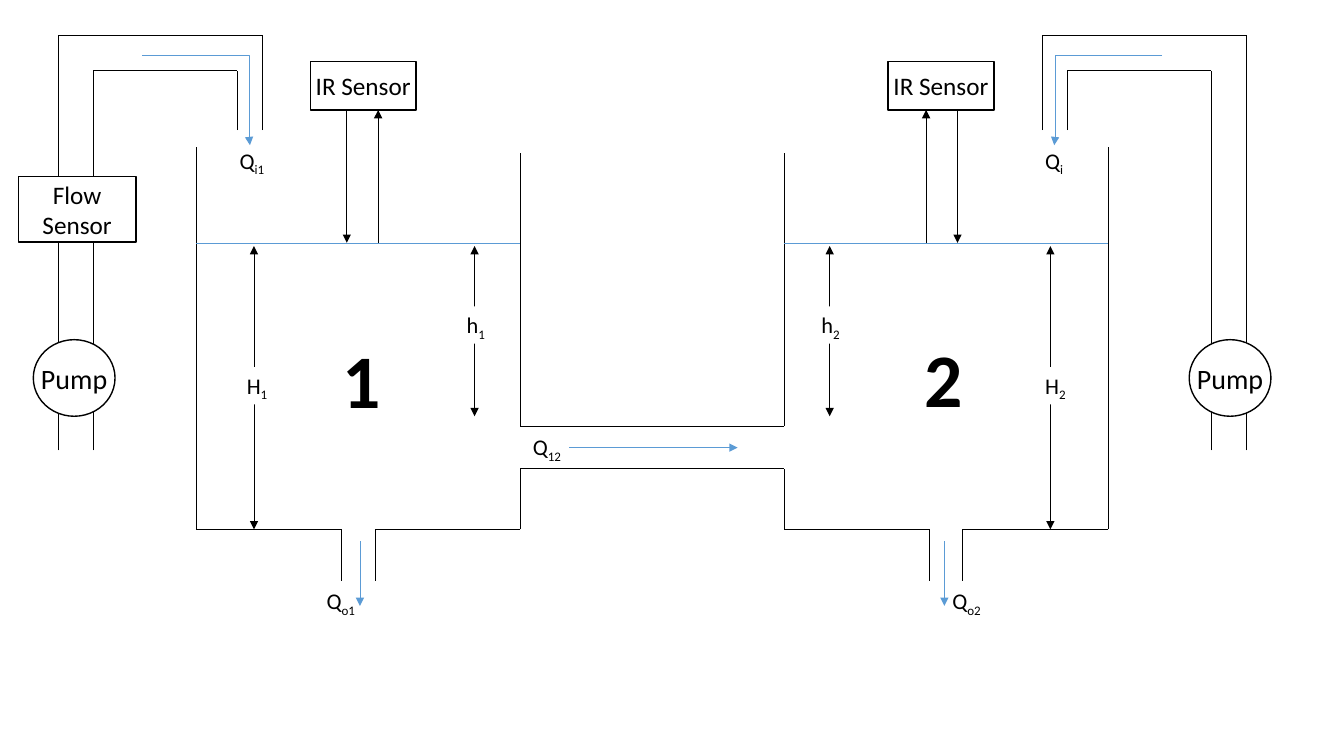
from dataclasses import dataclass
from typing import NamedTuple

from lxml import etree
from pptx import Presentation
from pptx import util as u
from pptx.dml.color import RGBColor
from pptx.enum import shapes, text
from pptx.oxml import ns


@dataclass(frozen=True)
class Theme:
    """Colours, font and sizes of the slide."""
    ink: RGBColor = RGBColor(0, 0, 0)
    flow: RGBColor = RGBColor(0x5B, 0x9B, 0xD5)
    white: RGBColor = RGBColor(255, 255, 255)
    font: str = "Calibri"
    small: int = 16
    body: int = 18
    large: int = 20
    huge: int = 54
    thin: float = 0.5
    edge: float = 1


class Line(NamedTuple):
    """A line in cm; heads lists the ends that carry an arrow."""
    x1: float
    y1: float
    x2: float
    y2: float
    color: RGBColor = Theme.ink
    heads: tuple = ()
    bend: float = 0


class Box(NamedTuple):
    """An outlined shape in cm with centred words."""
    x: float
    y: float
    w: float
    h: float
    words: str
    kind: shapes.MSO_SHAPE = shapes.MSO_SHAPE.RECTANGLE
    size: int = Theme.body
    wrap: bool = True
    fill: bool = True


class Label(NamedTuple):
    """A free label in cm with an optional subscript."""
    x: float
    y: float
    w: float
    words: str
    sub: str = ""
    h: float = 0.94
    size: int = Theme.small
    bold: bool = False
    mask: bool = False


THEME = Theme()
SPAN = 32.87  # left and right x of a mirrored pair add up to this
TAIL, BOTH = ("tailEnd",), ("headEnd", "tailEnd")

# Tank walls and shared heights
OUTER, INNER, BASE, LEVEL = 4.95, 13.11, 13.34, 6.12
DRAIN = (8.61, 9.45)
PIPE_TOP, PIPE_LOW = 10.74, 11.81
NEAR, FAR = (2.35, 5.97, 1.78), (1.47, 6.6, 0.89)  # up, down, top

HALF = [
    Line(OUTER, BASE, DRAIN[0], BASE),
    Line(DRAIN[1], BASE, INNER, BASE),
    Line(OUTER, BASE, OUTER, 3.71),
    Line(INNER, BASE, INNER, PIPE_LOW),
    Line(INNER, PIPE_TOP, INNER, 3.86),
    *(Line(x, BASE, x, 14.63) for x in DRAIN),
    *(line for up, down, top in (NEAR, FAR) for line in (
        Line(up, 11.35, up, top),
        Line(up, top, down, top),
        Line(down, 3.28, down, top))),
    Line(OUTER, LEVEL, INNER, LEVEL, THEME.flow),
    Line(8.74, 2.77, 8.74, LEVEL, heads=TAIL),
    Line(9.53, LEVEL, 9.53, 2.77, heads=TAIL),
    Line(3.58, 1.4, 6.3, 3.66, THEME.flow, TAIL, 0.993),
    Line(9.07, 13.64, 9.07, 15.27, THEME.flow, TAIL),
    Line(6.4, 6.2, 6.4, BASE, heads=BOTH),
    Line(11.96, 6.2, 11.96, 10.49, heads=BOTH),
]
PAIRS = [
    Box(0.84, 8.56, 2.06, 1.93, "Pump", shapes.MSO_SHAPE.OVAL, THEME.large, False),
    Box(7.82, 1.55, 2.67, 1.22, "IR Sensor", fill=False),
]
METER = Box(0.46, 4.45, 2.97, 1.65, "Flow Sensor")
BRIDGE = [
    *(Line(INNER, y, SPAN - INNER, y) for y in (PIPE_TOP, PIPE_LOW)),
    Line(14.35, 11.28, 18.59, 11.28, THEME.flow, TAIL),
]
LABELS = [
    Label(5.79, 3.58, 1.17, "Q", "i1"),
    Label(26.09, 3.58, 0.99, "Q", "i"),
    Label(7.98, 14.68, 1.3, "Q", "o1"),
    Label(23.75, 14.68, 1.3, "Q", "o2"),
    Label(13.18, 10.8, 1.27, "Q", "12"),
    Label(5.97, 9.25, 1.07, "H", "1", mask=True),
    Label(26.09, 9.25, 1.07, "H", "2", mask=True),
    Label(11.51, 7.72, 0.99, "h", "1", mask=True),
    Label(20.45, 7.72, 0.99, "h", "2", mask=True),
    Label(8.38, 8.26, 1.5, "1", h=2.57, size=THEME.huge, bold=True),
    Label(23.04, 8.23, 1.5, "2", h=2.57, size=THEME.huge, bold=True),
]


def write(shape, words: str, *, sub: str = "", size: int = THEME.body,
          bold: bool = False, align=text.PP_ALIGN.LEFT, wrap: bool = False) -> None:
    """Write words and a subscript into a shape."""
    frame = shape.text_frame
    frame.word_wrap = wrap
    para = frame.paragraphs[0]
    para.alignment = align
    for part, drop in ((words, "0"), (sub, "-25000")):
        if not part:
            continue
        run = para.add_run()
        run.text = part
        run.font.name, run.font.size = THEME.font, u.Pt(size)
        run.font.bold, run.font.color.rgb = bold, THEME.ink
        run._r.get_or_add_rPr().set("baseline", drop)


def draw_line(slide, line: Line) -> None:
    """Draw a straight or bent line with its arrowheads."""
    kind = shapes.MSO_CONNECTOR.ELBOW if line.bend else shapes.MSO_CONNECTOR.STRAIGHT
    link = slide.shapes.add_connector(kind, *map(u.Cm, line[:4]))
    link.line.color.rgb = line.color
    link.line.width = u.Pt(THEME.thin)
    props = link._element.spPr
    for end in line.heads:
        etree.SubElement(link.line._get_or_add_ln(), ns.qn(f"a:{end}"), type="triangle")
    etree.SubElement(props, ns.qn("a:effectLst"))
    if line.bend:
        guides = props.find(".//" + ns.qn("a:avLst"))
        etree.SubElement(guides, ns.qn("a:gd"), name="adj1",
                         fmla=f"val {round(line.bend * 100000)}")


def draw_box(slide, box: Box) -> None:
    """Draw an outlined shape with centred words."""
    shape = slide.shapes.add_shape(box.kind, *map(u.Cm, box[:4]))
    shape.shadow.inherit = False
    if box.fill:
        shape.fill.solid()
        shape.fill.fore_color.rgb = THEME.white
    else:
        shape.fill.background()
    shape.line.color.rgb = THEME.ink
    shape.line.width = u.Pt(THEME.edge)
    frame = shape.text_frame
    frame.margin_left = frame.margin_right = u.Cm(0.1)
    frame.margin_top = frame.margin_bottom = 0
    frame.vertical_anchor = text.MSO_ANCHOR.MIDDLE
    write(shape, box.words, size=box.size, align=text.PP_ALIGN.CENTER, wrap=box.wrap)


def draw_label(slide, label: Label) -> None:
    """Draw a label, masking the line beneath it if asked."""
    shape = slide.shapes.add_textbox(*map(u.Cm, (label.x, label.y, label.w, label.h)))
    if label.mask:
        shape.fill.solid()
        shape.fill.fore_color.rgb = THEME.white
    shape.text_frame.auto_size = text.MSO_AUTO_SIZE.SHAPE_TO_FIT_TEXT
    write(shape, label.words, sub=label.sub, size=label.size, bold=label.bold)


def flip_line(line: Line) -> Line:
    """Mirror a line to the right tank."""
    return line._replace(x1=SPAN - line.x1, x2=SPAN - line.x2)


def flip_box(box: Box) -> Box:
    """Mirror a box to the right tank."""
    return box._replace(x=SPAN - box.x - box.w)


def main() -> None:
    """Build the slide and save it."""
    deck = Presentation()
    deck.slide_width, deck.slide_height = u.Cm(33.87), u.Cm(19.05)
    slide = deck.slides.add_slide(deck.slide_layouts[6])
    for line in [*HALF, *map(flip_line, HALF), *BRIDGE]:
        draw_line(slide, line)
    for box in [*PAIRS, *map(flip_box, PAIRS), METER]:
        draw_box(slide, box)
    for label in LABELS:
        draw_label(slide, label)
    deck.save("out.pptx")


main()
